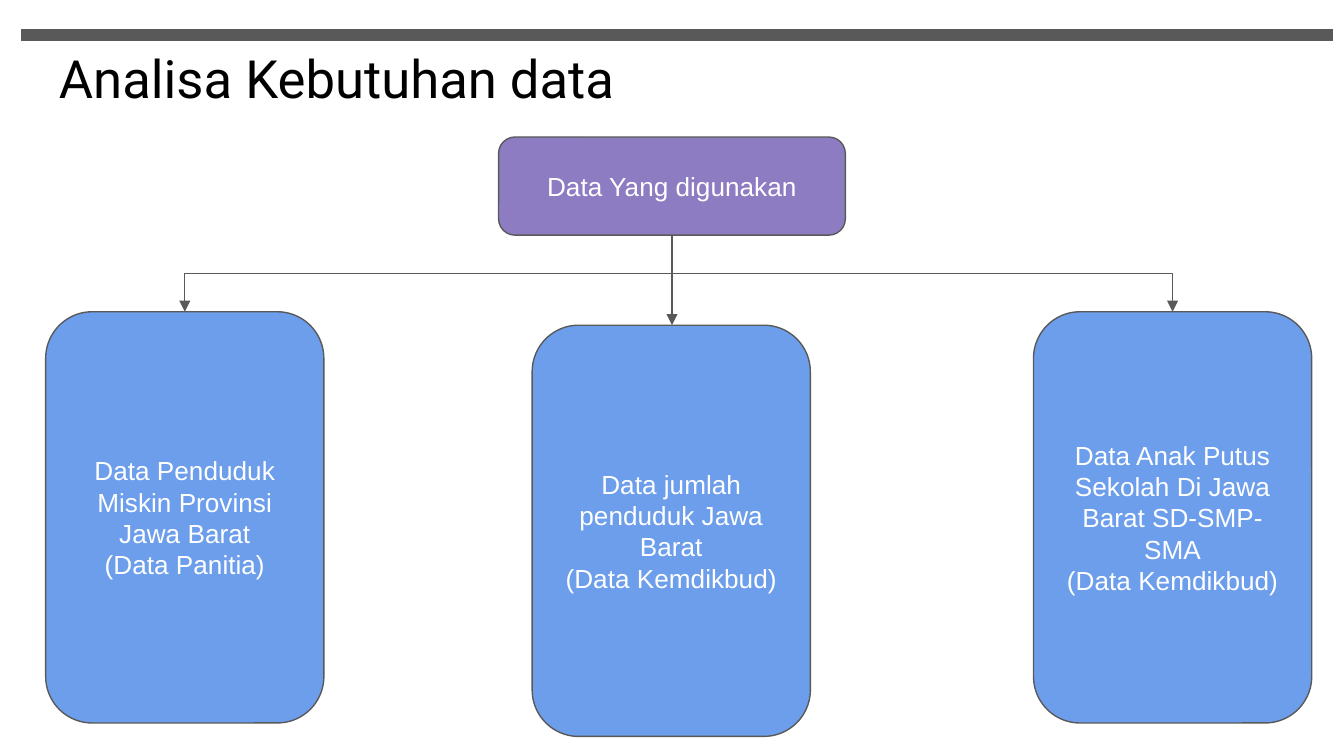
from pptx import Presentation
from pptx.dml.color import RGBColor
from pptx.enum.shapes import MSO_CONNECTOR, MSO_SHAPE
from pptx.enum.text import MSO_ANCHOR, PP_ALIGN
from pptx.oxml.ns import qn
from pptx.util import Inches, Pt
from lxml.etree import SubElement

GRAY = RGBColor(0x59, 0x59, 0x59)
BLACK = RGBColor(0, 0, 0)
WHITE = RGBColor(0xFF, 0xFF, 0xFF)
BLUE = RGBColor(0x6D, 0x9E, 0xEB)
PURPLE = RGBColor(0x8E, 0x7C, 0xC3)

# Content: each source box has left, top and text
TITLE = "Analisa Kebutuhan data"
ROOT = "Data Yang digunakan"
SOURCES = [
    (0.34, 2.32, "Data Penduduk Miskin Provinsi Jawa Barat\n(Data Panitia)"),
    (3.96, 2.42, "Data jumlah penduduk Jawa Barat\n(Data Kemdikbud)"),
    (7.69, 2.32, "Data Anak Putus Sekolah Di Jawa Barat SD-SMP-SMA\n(Data Kemdikbud)"),
]
BOX_W, BOX_H = 2.07, 3.06
ROOT_X, ROOT_Y, ROOT_W, ROOT_H = 3.71, 1.02, 2.58, 0.73

# Widescreen page, 16 by 9
deck = Presentation()
deck.slide_width, deck.slide_height = Inches(10), Inches(10 * 9 / 16)
slide = deck.slides.add_slide(deck.slide_layouts[6])
shapes = slide.shapes


def write(shape, text, size, font, color, align):
    frame = shape.text_frame
    frame.word_wrap = True
    frame.margin_left = frame.margin_right = Inches(0.1)
    frame.margin_top = frame.margin_bottom = Inches(0.1)
    frame.text = text
    for para in frame.paragraphs:
        para.alignment = align
        for run in para.runs:
            run.font.size = Pt(size)
            run.font.name = font
            run.font.color.rgb = color


def add_box(x, y, w, h, fill, text):
    box = shapes.add_shape(MSO_SHAPE.ROUNDED_RECTANGLE,
                           Inches(x), Inches(y), Inches(w), Inches(h))
    box.adjustments[0] = 0.167
    box.shadow.inherit = False
    box.fill.solid()
    box.fill.fore_color.rgb = fill
    box.line.color.rgb = GRAY
    box.line.width = Pt(0.75)
    write(box, text, 14, "Arial", WHITE, PP_ALIGN.CENTER)
    box.text_frame.vertical_anchor = MSO_ANCHOR.MIDDLE


def add_line(kind, x1, y1, x2, y2, width):
    line = shapes.add_connector(kind, Inches(x1), Inches(y1), Inches(x2), Inches(y2))
    line.line.color.rgb = GRAY
    line.line.width = Pt(width)
    SubElement(line._element.spPr, qn("a:effectLst"))
    return line


def add_arrow(x1, y1, x2, y2):
    if abs(x2 - x1) < 0.01:
        line = add_line(MSO_CONNECTOR.STRAIGHT, x1, y1, x1, y2, 0.75)
    else:
        # An elbow that leaves downwards is a sideways one, turned about its middle
        run, drop = abs(x2 - x1), y2 - y1
        left, top = (x1 + x2 - drop) / 2, (y1 + y2 - run) / 2
        start, end, turn = left, left + drop, 90
        if x2 > x1:
            start, end, turn = end, start, 270
        line = add_line(MSO_CONNECTOR.ELBOW, start, top, end, top + run, 0.75)
        line._element.spPr.find(qn("a:xfrm")).set("rot", str(turn * 60000))
    SubElement(line.line._get_or_add_ln(), qn("a:tailEnd"), type="triangle")


# Top bar and title
add_line(MSO_CONNECTOR.STRAIGHT, 0.16, 0.26, 9.92, 0.26, 6)
title = shapes.add_textbox(Inches(0.34), Inches(0.24), Inches(9.32), Inches(0.63))
write(title, TITLE, 28.2, "Roboto", BLACK, PP_ALIGN.LEFT)

# Root box, then the sources with their arrows
add_box(ROOT_X, ROOT_Y, ROOT_W, ROOT_H, PURPLE, ROOT)
mid = ROOT_X + ROOT_W / 2
for x, y, text in SOURCES:
    add_box(x, y, BOX_W, BOX_H, BLUE, text)
    add_arrow(mid, ROOT_Y + ROOT_H, x + BOX_W / 2, y)

deck.save("out.pptx")
